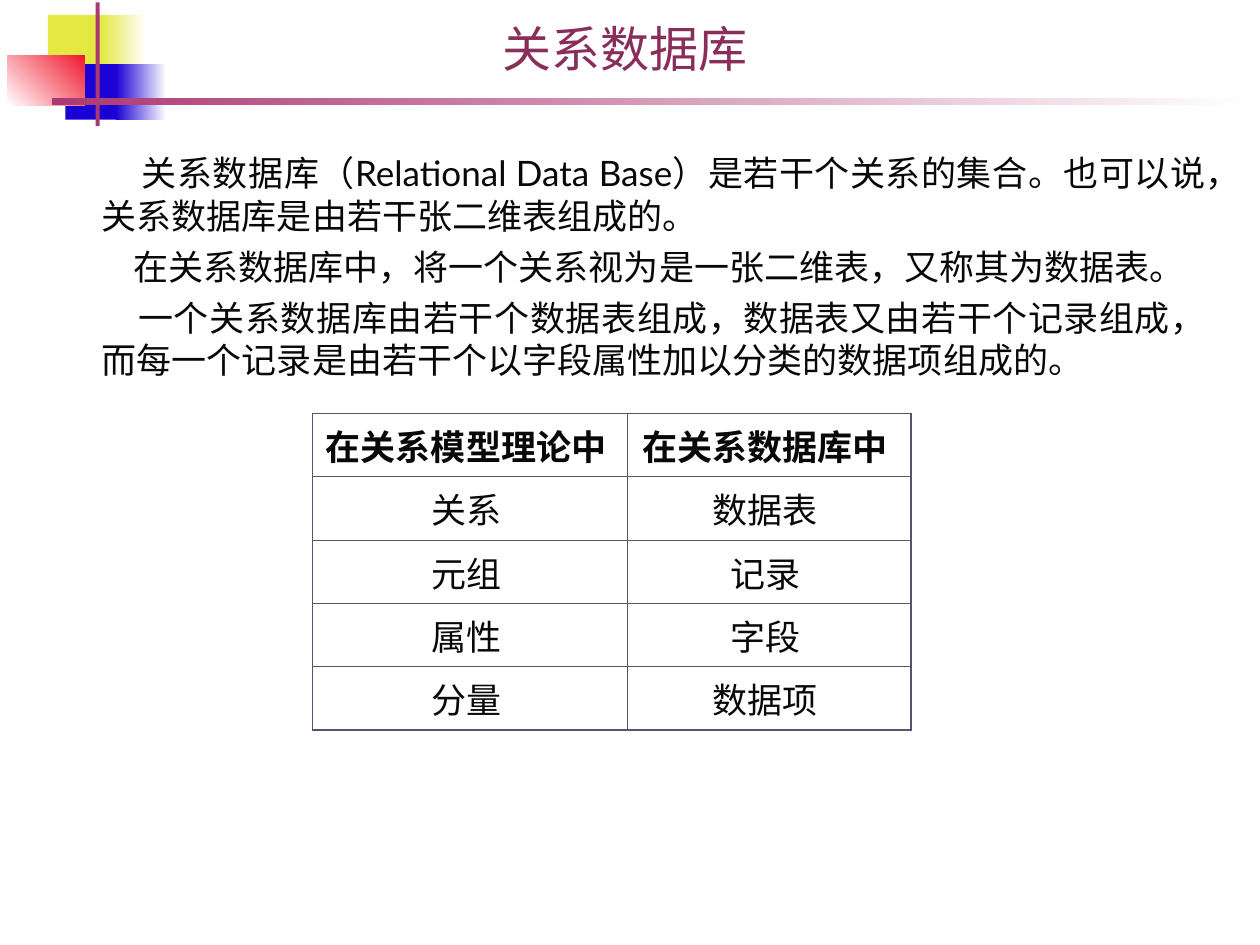
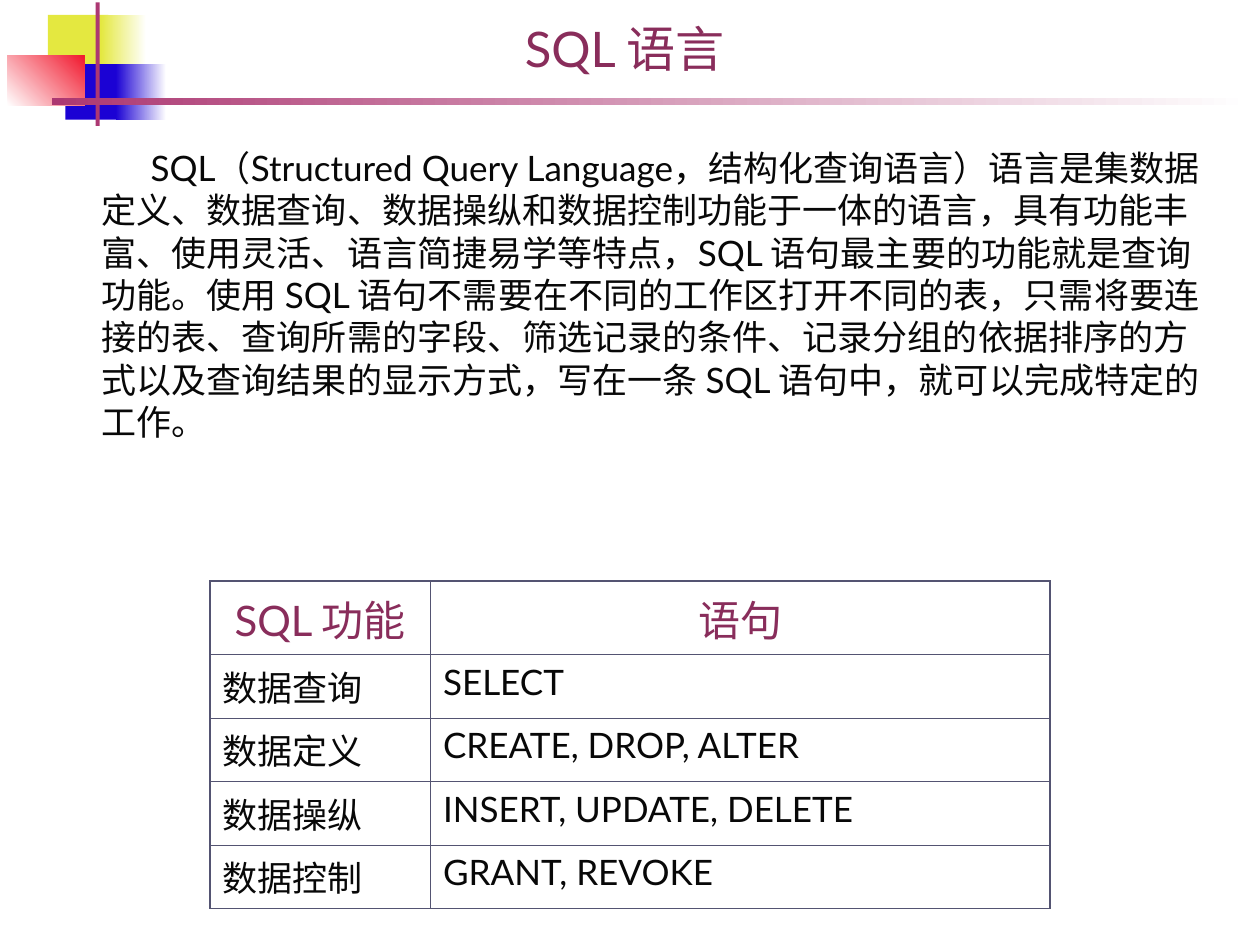
from lxml.etree import SubElement
from pptx import Presentation
from pptx.dml.color import RGBColor
from pptx.enum.shapes import MSO_SHAPE
from pptx.enum.text import MSO_ANCHOR as Anchor, PP_ALIGN as Align
from pptx.oxml.ns import qn
from pptx.util import Pt

FONT = "Lato"
COLORS = {
    "yellow": "E4E840",
    "blue": "1B02D4",
    "red": "F1192E",
    "rose": "AC3872",
    "white": "FFFFFF",
    "title": "892D5B",
    "text": "080808",
    "border": "545472",
}

# Left, top, width, height, first colour, last colour, gradient angle
DECORATIONS = [
    (27.4, 8.6, 34.6, 31.7, "yellow", "yellow", 0),
    (57.6, 8.6, 25.9, 31.7, "yellow", "white", 0),
    (37.4, 36.7, 33.1, 31.7, "blue", "blue", 0),
    (66.2, 36.7, 28.8, 31.7, "blue", "white", 0),
    (4.3, 31.7, 43.9, 28.8, "white", "red", 45),
    (54.7, 1.4, 2.2, 70.6, "rose", "rose", 0),
    (29.5, 56.2, 684.7, 3.6, "rose", "white", 0),
]

# Each paragraph is its first-line indent and its text
SLIDES = [
    {
        "title": "关系数据库",
        "body_box": (24, 72, 672, 234),
        "body_inset": 14.5,
        "body_align": Align.JUSTIFY,
        "paragraphs": [
            (23, "关系数据库（Relational Data Base）是若干个关系的集合。也可以说，"
                 "关系数据库是由若干张二维表组成的。"),
            (18, "在关系数据库中，将一个关系视为是一张二维表，又称其为数据表。"),
            (21, "一个关系数据库由若干个数据表组成，数据表又由若干个记录组成，"
                 "而每一个记录是由若干个以字段属性加以分类的数据项组成的。"),
        ],
        "table_origin": (178.6, 236.2),
        "columns": [180, 162],
        "row_heights": [36.2] * 5,
        "header": {"size": 20, "bold": True, "color": "text"},
        "cell_align": Align.CENTER,
        "cell_anchor": Anchor.MIDDLE,
        "rows": [
            ("在关系模型理论中 ", "在关系数据库中 "),
            ("关系 ", "数据表 "),
            ("元组 ", "记录 "),
            ("属性 ", "字段 "),
            ("分量 ", "数据项 "),
        ],
    },
    {
        "title": "SQL 语言",
        "body_box": (24, 60, 678, 252),
        "body_inset": 23.5,
        "body_align": Align.LEFT,
        "paragraphs": [
            (28, "SQL（Structured Query Language，结构化查询语言）语言是集数据定义、"
                 "数据查询、数据操纵和数据控制功能于一体的语言，具有功能丰富、使用灵活、"
                 "语言简捷易学等特点，SQL 语句最主要的功能就是查询功能。使用 SQL "
                 "语句不需要在不同的工作区打开不同的表，只需将要连接的表、查询所需的字段、"
                 "筛选记录的条件、记录分组的依据排序的方式以及查询结果的显示方式，"
                 "写在一条 SQL 语句中，就可以完成特定的工作。"),
        ],
        "table_origin": (120, 332),
        "columns": [126, 354],
        "row_heights": [42] + [36.3] * 4,
        "header": {"size": 24, "bold": False, "color": "title"},
        "cell_align": Align.LEFT,
        "cell_anchor": Anchor.TOP,
        "rows": [
            ("SQL 功能", "语句"),
            ("数据查询", "SELECT"),
            ("数据定义", "CREATE, DROP, ALTER"),
            ("数据操纵", "INSERT, UPDATE, DELETE"),
            ("数据控制", "GRANT, REVOKE"),
        ],
    },
]


def style_paragraph(paragraph, align, size, color, bold=False):
    paragraph.alignment = align
    for run in paragraph.runs:
        run.font.name = FONT
        run.font.size = Pt(size)
        run.font.bold = bold
        run.font.color.rgb = RGBColor.from_string(COLORS[color])


def add_border(cell, side, width):
    """Draw one cell edge; side is L, R, T or B."""
    line = SubElement(cell._tc.get_or_add_tcPr(), qn(f"a:ln{side}"), w=str(Pt(width)))
    fill = SubElement(line, qn("a:solidFill"))
    SubElement(fill, qn("a:srgbClr"), val=COLORS["border"])


presentation = Presentation()
presentation.slide_width = Pt(720)
presentation.slide_height = Pt(540)
layout = presentation.slide_layouts[5]

for content in SLIDES:
    slide = presentation.slides.add_slide(layout)

    title = slide.shapes.title
    title.left, title.top, title.width, title.height = Pt(24), Pt(0), Pt(666), Pt(48)
    title.text_frame.text = content["title"]
    title.text_frame.vertical_anchor = Anchor.BOTTOM
    style_paragraph(title.text_frame.paragraphs[0], Align.CENTER, 28, "title")

    body = slide.shapes.add_textbox(*map(Pt, content["body_box"]))
    frame = body.text_frame
    frame.word_wrap = True
    frame.margin_top = Pt(content["body_inset"])
    frame.text = "\n".join(text for _, text in content["paragraphs"])
    for index, paragraph in enumerate(frame.paragraphs):
        properties = paragraph._p.get_or_add_pPr()
        properties.set("marL", str(Pt(27)))
        properties.set("indent", str(Pt(content["paragraphs"][index][0])))
        paragraph.line_spacing = Pt(24.2)
        paragraph.space_before = Pt(5 if index else 0)
        style_paragraph(paragraph, content["body_align"], 20, "text")

    columns, heights, rows = content["columns"], content["row_heights"], content["rows"]
    left, top = content["table_origin"]
    table = slide.shapes.add_table(
        len(rows), len(columns), Pt(left), Pt(top), Pt(sum(columns)), Pt(sum(heights))
    ).table
    table.first_row = table.horz_banding = False
    for column, width in zip(table.columns, columns):
        column.width = Pt(width)
    for row_index, texts in enumerate(rows):
        table.rows[row_index].height = Pt(heights[row_index])
        for column_index, text in enumerate(texts):
            cell = table.cell(row_index, column_index)
            cell.text_frame.text = text
            cell.vertical_anchor = content["cell_anchor"]
            paragraph = cell.text_frame.paragraphs[0]
            if row_index == 0:
                style_paragraph(paragraph, Align.CENTER, **content["header"])
            else:
                style_paragraph(paragraph, content["cell_align"], 20, "text")
            outer_edges = {
                "L": column_index == 0,
                "R": column_index == len(columns) - 1,
                "T": row_index == 0,
                "B": row_index == len(rows) - 1,
            }
            for side, is_outer in outer_edges.items():
                add_border(cell, side, 1.08 if is_outer else 0.45)
            cell.fill.background()

# The corner blocks and title rule belong to the shared layout, behind its placeholders
builder = presentation.slides[0].shapes
for position, (left, top, width, height, first, last, angle) in enumerate(DECORATIONS):
    block = builder.add_shape(MSO_SHAPE.RECTANGLE, Pt(left), Pt(top), Pt(width), Pt(height))
    block.shadow.inherit = False
    block.line.fill.background()
    if first == last:
        block.fill.solid()
        block.fill.fore_color.rgb = RGBColor.from_string(COLORS[first])
    else:
        block.fill.gradient()
        block.fill.gradient_angle = angle
        for stop, color in zip(block.fill.gradient_stops, (first, last)):
            stop.color.rgb = RGBColor.from_string(COLORS[color])
    block.element.nvSpPr.cNvPr.set("id", str(100 + position))
    layout.shapes.element.insert(2 + position, block.element)

presentation.save("out.pptx")
